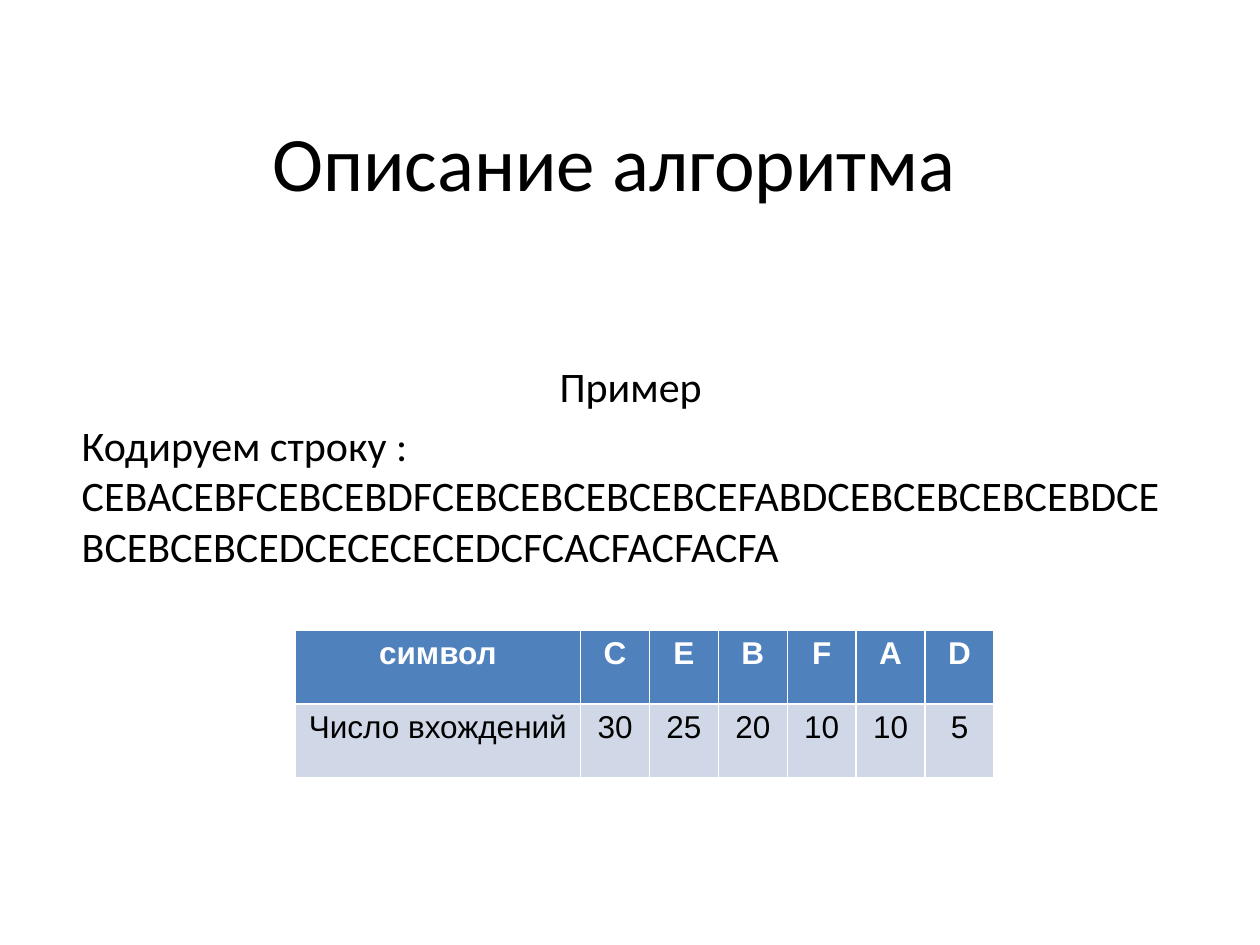
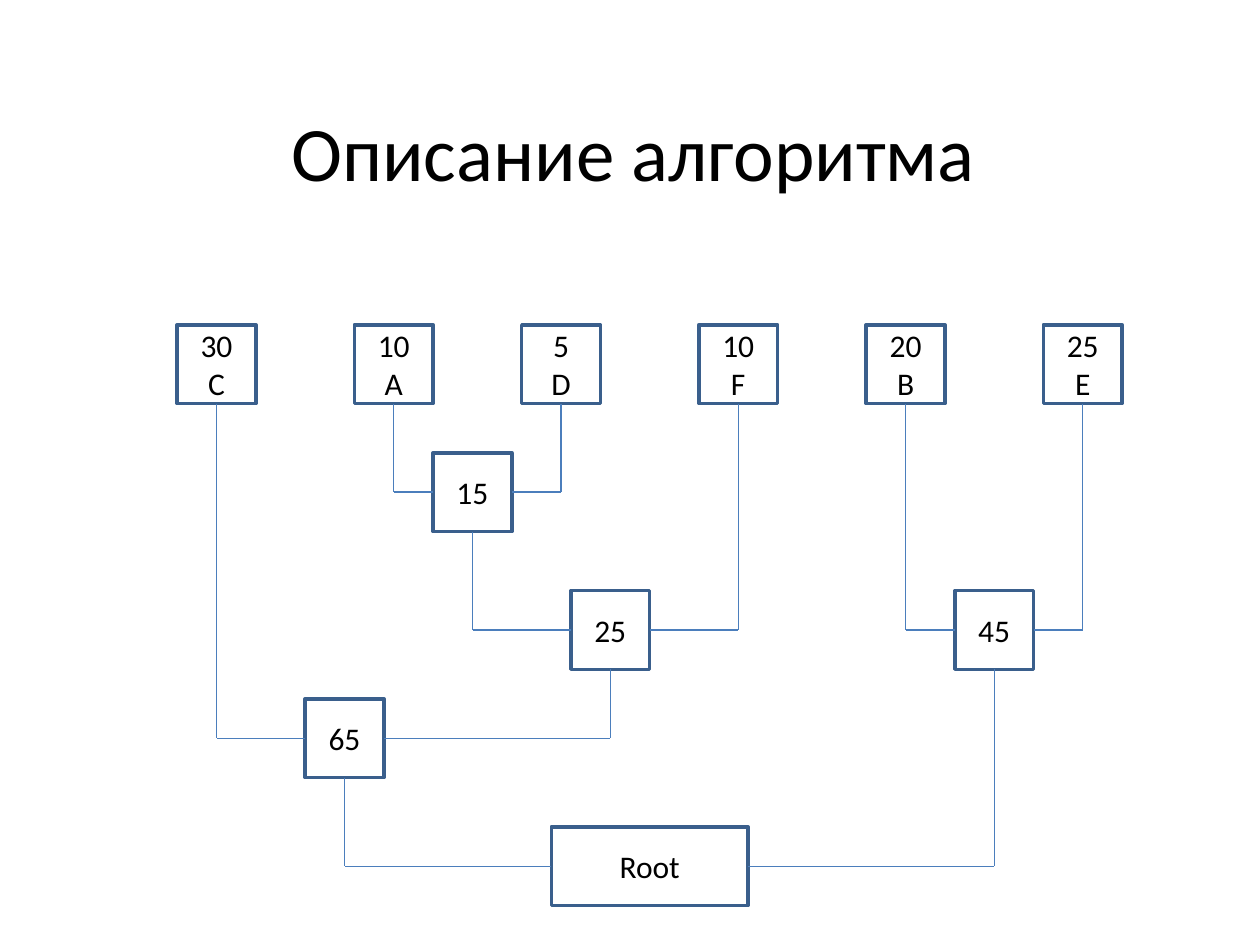
import pptx
import pptx.dml.color
import pptx.enum.shapes
import pptx.enum.text
import pptx.util
from lxml import etree
from pptx.oxml.ns import qn

Pt = pptx.util.Pt
CENTER = pptx.enum.text.PP_ALIGN.CENTER
LEFT = pptx.enum.text.PP_ALIGN.LEFT
MIDDLE = pptx.enum.text.MSO_ANCHOR.MIDDLE

COLORS = {
    "text": "000000",
    "paper": "FFFFFF",
    "header": "4F81BD",
    "band": "D0D8E8",
    "outline": "3A5F8C",
    "branch": "4B7EBC",
}
TITLE = "Описание алгоритма"
TITLE_ONLY = 5
BOTTOM, LEFT_SIDE, RIGHT_SIDE = 2, 1, 3

# The tree stands on a grid whose step is an eighth of a node's height.
NODE_HEIGHT = 45
STEP = NODE_HEIGHT / 8


class Deck:
    """Holds the shared style and the slide being built."""

    def __init__(self):
        self.presentation = pptx.Presentation()
        self.presentation.slide_width = Pt(720)
        self.presentation.slide_height = Pt(540)
        self.slide = None

    def color(self, name):
        return pptx.dml.color.RGBColor.from_string(COLORS[name])

    def format(self, paragraph, size, font="Calibri", color="text", bold=False, align=CENTER):
        paragraph.alignment = align
        for run in paragraph.runs:
            run.font.name = font
            run.font.size = Pt(size)
            run.font.bold = bold
            run.font.color.rgb = self.color(color)

    def add_slide(self, title, left, top):
        layout = self.presentation.slide_layouts[TITLE_ONLY]
        self.slide = self.presentation.slides.add_slide(layout)
        shape = self.slide.shapes.title
        shape.left, shape.top, shape.width, shape.height = Pt(left), Pt(top), Pt(612), Pt(116)
        shape.text_frame.text = title
        shape.text_frame.vertical_anchor = MIDDLE
        self.format(shape.text_frame.paragraphs[0], 44)

    def add_text(self, left, top, width, height, lines):
        """Adds a text box from (text, alignment) pairs, one per paragraph."""
        box = self.slide.shapes.add_textbox(Pt(left), Pt(top), Pt(width), Pt(height))
        frame = box.text_frame
        frame.word_wrap = True
        frame.text = "\n".join(text for text, _ in lines)
        for index, (paragraph, (_, align)) in enumerate(zip(frame.paragraphs, lines)):
            self.format(paragraph, 24, align=align)
            if index:
                paragraph.space_before = Pt(4.8)

    def add_table(self, left, top, widths, row_height, rows):
        frame = self.slide.shapes.add_table(
            len(rows), len(widths), Pt(left), Pt(top), Pt(sum(widths)), Pt(row_height * len(rows)))
        table = frame.table
        for column, width in zip(table.columns, widths):
            column.width = Pt(width)
        for row_index, row in enumerate(rows):
            is_header = row_index == 0
            for column_index, value in enumerate(row):
                cell = table.cell(row_index, column_index)
                cell.text_frame.text = value
                cell.fill.solid()
                cell.fill.fore_color.rgb = self.color("header" if is_header else "band")
                self.format(cell.text_frame.paragraphs[0], 18, "Arial",
                            "paper" if is_header else "text", is_header)

    def add_node(self, text, center, top, width=8):
        """Adds a tree node; centre, top and width are counted in grid steps."""
        shape = self.slide.shapes.add_shape(
            pptx.enum.shapes.MSO_SHAPE.RECTANGLE, Pt((center - width / 2) * STEP),
            Pt(top * STEP), Pt(width * STEP), Pt(NODE_HEIGHT))
        shape.shadow.inherit = False
        shape.fill.solid()
        shape.fill.fore_color.rgb = self.color("paper")
        shape.line.color.rgb = self.color("outline")
        shape.line.width = Pt(2)
        shape.text_frame.text = text
        shape.text_frame.vertical_anchor = MIDDLE
        for paragraph in shape.text_frame.paragraphs:
            self.format(paragraph, 18)
        return shape

    def add_line(self, shape, side, x, y):
        """Draws a line from the middle of a shape's side to a point."""
        line = self.slide.shapes.add_connector(
            pptx.enum.shapes.MSO_CONNECTOR.STRAIGHT, x, y, x, y)
        line.begin_connect(shape, side)
        line.line.color.rgb = self.color("branch")
        line.line.width = Pt(0.75)
        etree.SubElement(line._element.spPr, qn("a:effectLst"))

    def add_branch(self, child, parent):
        """Joins a child's bottom to the nearer side of its parent."""
        x = child.left + child.width // 2
        y = parent.top + parent.height // 2
        self.add_line(child, BOTTOM, x, y)
        self.add_line(parent, LEFT_SIDE if x < parent.left else RIGHT_SIDE, x, y)


def add_example_slide(deck):
    deck.add_slide(TITLE, 45, 34)
    deck.add_text(39.6, 202.5, 641.5, 320, [
        ("Пример", CENTER),
        ("Кодируем строку : CEBACEBFCEBCEBDFCEBCEBCEBCEBCEFABDCEBCEBCEBCEBD"
         "CEBCEBCEBCEDCECECECEDCFCACFACFACFA", LEFT),
    ])
    deck.add_table(168.75, 360, [163] + [39.4] * 6, 42.2, [
        ["символ", "С", "E", "B", "F", "A", "D"],
        ["Число вхождений", "30", "25", "20", "10", "10", "5"],
    ])


def add_tree_slide(deck):
    deck.add_slide(TITLE, 56, 28)
    leaves = [("С", 30, 22), ("A", 10, 40), ("D", 5, 57),
              ("F", 10, 75), ("B", 20, 92), ("E", 25, 110)]
    nodes = {symbol: deck.add_node(f"{count}\n{symbol}", center, 33)
             for symbol, count, center in leaves}
    merges = [
        ("AD", "15", 48, 46, 8, ("A", "D")),
        ("ADF", "25", 62, 60, 8, ("AD", "F")),
        ("CADF", "65", 35, 71, 8, ("С", "ADF")),
        ("BE", "45", 101, 60, 8, ("B", "E")),
        ("Root", "Root", 66, 84, 20, ("CADF", "BE")),
    ]
    for name, text, center, top, width, children in merges:
        nodes[name] = deck.add_node(text, center, top, width)
        for child in children:
            deck.add_branch(nodes[child], nodes[name])


def main():
    deck = Deck()
    add_example_slide(deck)
    add_tree_slide(deck)
    deck.presentation.save("out.pptx")


if __name__ == "__main__":
    main()
